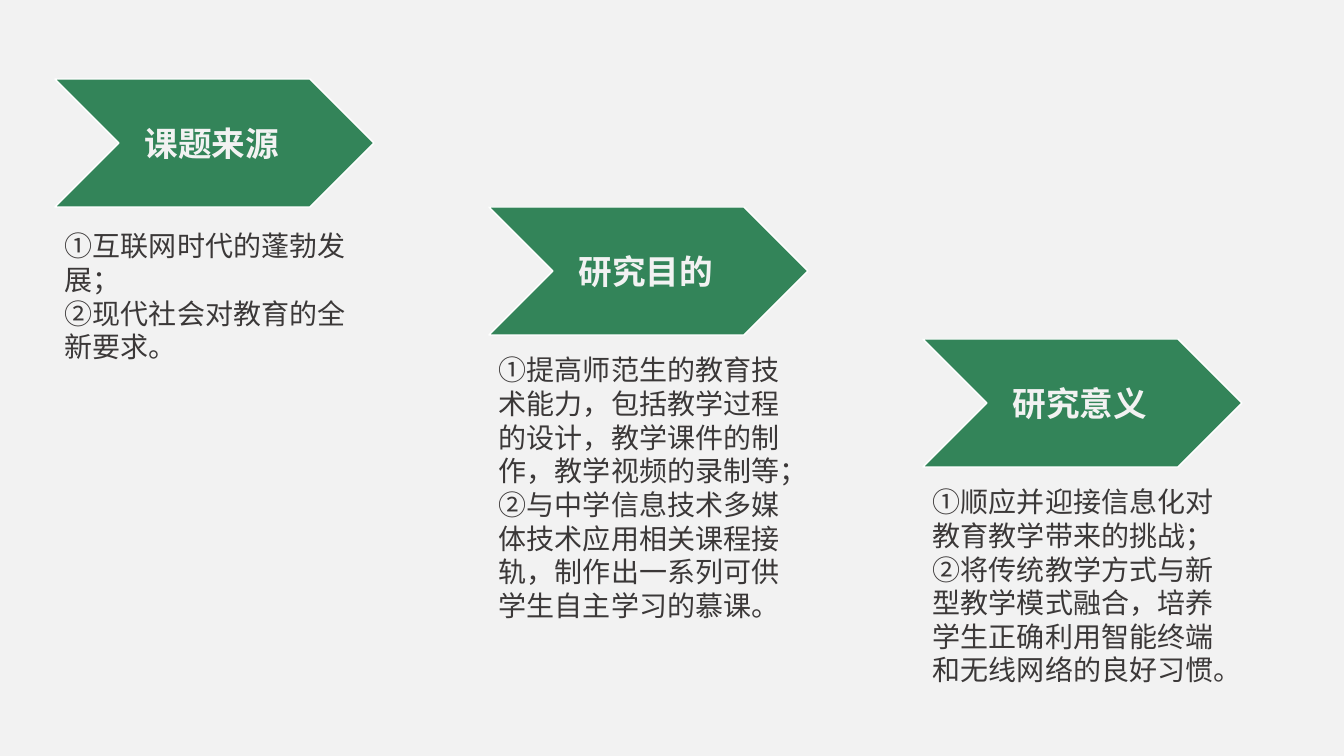
from dataclasses import dataclass

from pptx import Presentation
from pptx.dml.color import RGBColor
from pptx.enum.shapes import MSO_SHAPE as Shape
from pptx.enum.text import PP_ALIGN as Align
from pptx.oxml.ns import qn
from pptx.util import Emu, Pt
from lxml.etree import SubElement

EMU_PER_PIXEL = 914400 / 100.8


def px(length):
    return Emu(round(length * EMU_PER_PIXEL))


@dataclass(frozen=True)
class Theme:
    background: str = "F2F2F2"
    arrow: str = "338459"
    outline: str = "FFFFFF"
    heading: str = "F2F2F2"
    body: str = "3B3838"
    heading_font: str = "Noto Sans CJK JP"
    body_font: str = "Noto Sans CJK SC"
    heading_size: int = 24
    body_size: int = 20
    outline_width: int = 1


def write_text(paragraph, text, *, font, size, color, bold=False, align=Align.LEFT):
    paragraph.alignment = align
    run = paragraph.add_run()
    run.text = text
    run.font.name = font
    run.font.size = Pt(size)
    run.font.bold = bold
    run.font.color.rgb = RGBColor.from_string(color)
    # Chinese characters take their typeface from the East Asian slot
    SubElement(run.font._element, qn("a:ea"), typeface=font)


class SlideBuilder:
    def __init__(self, slide, theme):
        self.slide = slide
        self.theme = theme

    def background(self):
        fill = self.slide.background.fill
        fill.solid()
        fill.fore_color.rgb = RGBColor.from_string(self.theme.background)

    def arrow(self, left, top, width, height):
        shape = self.slide.shapes.add_shape(
            Shape.CHEVRON, px(left), px(top), px(width), px(height))
        shape.shadow.inherit = False
        shape.fill.solid()
        shape.fill.fore_color.rgb = RGBColor.from_string(self.theme.arrow)
        shape.line.color.rgb = RGBColor.from_string(self.theme.outline)
        shape.line.width = Pt(self.theme.outline_width)

    def text_box(self, left, top, width, height, lines, **text_format):
        shape = self.slide.shapes.add_textbox(
            px(left), px(top), px(width), px(height))
        frame = shape.text_frame
        frame.word_wrap = True
        for index, line in enumerate(lines):
            paragraph = frame.add_paragraph() if index else frame.paragraphs[0]
            write_text(paragraph, line, **text_format)

    def heading(self, left, top, width, height, text):
        theme = self.theme
        self.text_box(left, top, width, height, [text], font=theme.heading_font,
                      size=theme.heading_size, color=theme.heading, bold=True,
                      align=Align.CENTER)

    def body(self, left, top, width, height, lines):
        theme = self.theme
        self.text_box(left, top, width, height, lines, font=theme.body_font,
                      size=theme.body_size, color=theme.body)


# Column layout in pixels
FIRST_LEFT, COLUMN_STEP = 55, 434
ARROW_WIDTH, ARROW_HEIGHT = 319, 128
HEADING_LEFT, HEADING_TOP = 26, 39
HEADING_WIDTH, HEADING_HEIGHT = 262, 50

# Heading, arrow top, body top, body height, body paragraphs
TOPICS = [
    ("课题来源", 79, 224, 146,
     ["①互联网时代的蓬勃发展；",
      "②现代社会对教育的全新要求。"]),
    ("研究目的", 207, 348, 281,
     ["①提高师范生的教育技术能力，包括教学过程的设计，教学课件的制作，"
      "教学视频的录制等；②与中学信息技术多媒体技术应用相关课程接轨，"
      "制作出一系列可供学生自主学习的慕课。"]),
    ("研究意义", 339, 480, 214,
     ["①顺应并迎接信息化对教育教学带来的挑战；",
      "②将传统教学方式与新型教学模式融合，培养学生正确利用智能终端"
      "和无线网络的良好习惯。"]),
]

presentation = Presentation()
presentation.slide_width = px(1344)
presentation.slide_height = px(756)
blank_layout = presentation.slide_layouts[6]
builder = SlideBuilder(presentation.slides.add_slide(blank_layout), Theme())
builder.background()

# Descending steps: arrow, heading on it, explanation below
for column, (title, arrow_top, body_top, body_height, lines) in enumerate(TOPICS):
    left = FIRST_LEFT + column * COLUMN_STEP
    builder.arrow(left, arrow_top, ARROW_WIDTH, ARROW_HEIGHT)
    builder.heading(left + HEADING_LEFT, arrow_top + HEADING_TOP,
                    HEADING_WIDTH, HEADING_HEIGHT, title)
    builder.body(left, body_top, ARROW_WIDTH, body_height, lines)

presentation.save("out.pptx")
